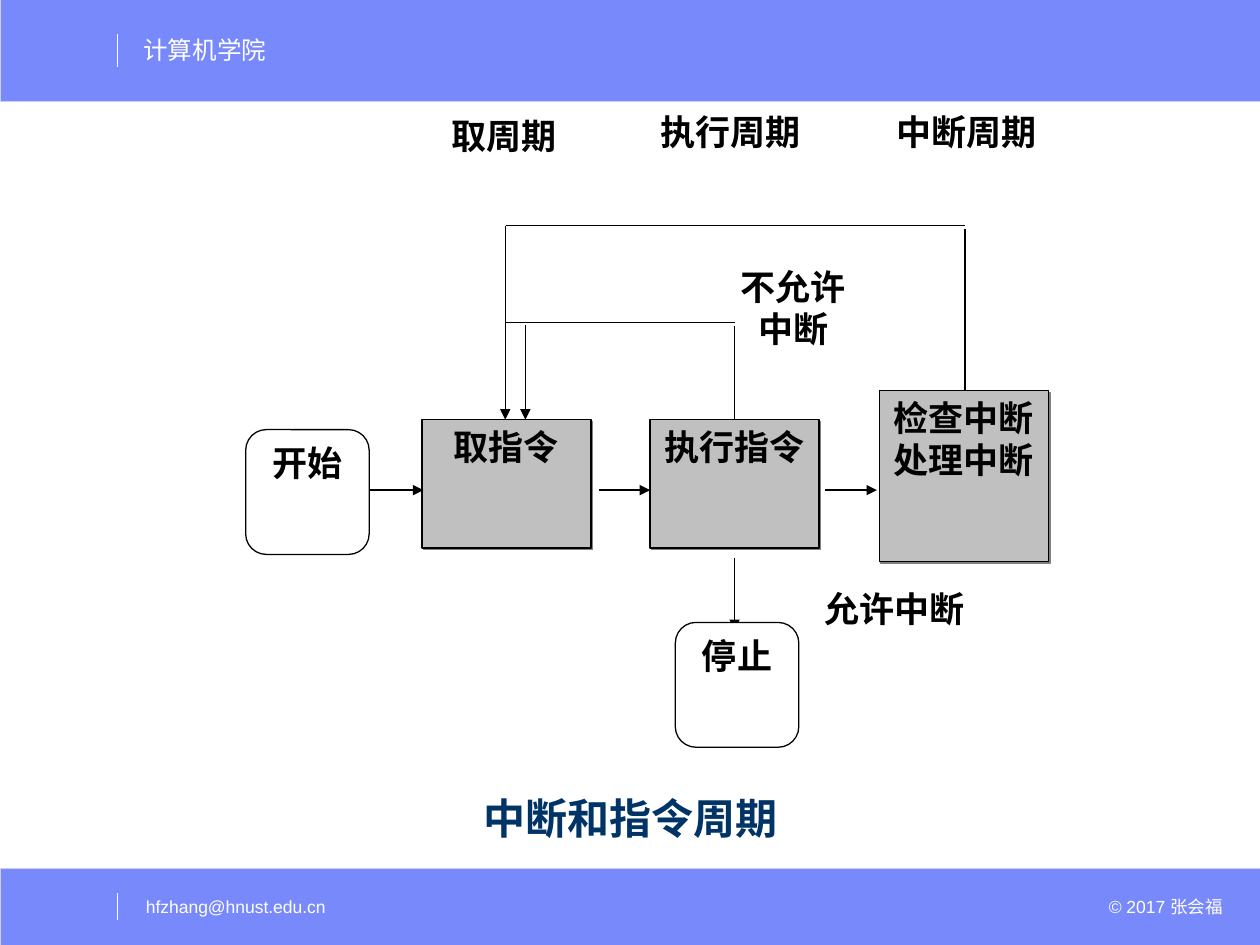
import pptx
import pptx.util
import pptx.dml.color
import pptx.enum.shapes
import pptx.enum.text
import pptx.oxml
import pptx.oxml.ns

Inches = pptx.util.Inches
Pt = pptx.util.Pt
RGB = pptx.dml.color.RGBColor.from_string
Shape = pptx.enum.shapes.MSO_SHAPE
Align = pptx.enum.text.PP_ALIGN
Anchor = pptx.enum.text.MSO_ANCHOR
NS = pptx.oxml.ns.nsdecls("a")

THEME = {
    "band": "7889FB", "band_edge": "CCCCFF", "white": "FFFFFF",
    "black": "000000", "step": "C0C0C0", "shadow": "808080", "navy": "003366",
    "label": {"name": "Times New Roman", "size": Pt(20), "bold": True},
    "title": {"name": "Arial", "size": Pt(24), "bold": True},
    "header": {"name": "Arial", "size": Pt(14)},
    "footer": {"name": "Arial", "size": Pt(10)},
}

deck = pptx.Presentation()
deck.slide_width, deck.slide_height = Inches(10), Inches(7.5)
slide = deck.slides.add_slide(deck.slide_layouts[6])


def add_box(place, words="", kind=Shape.RECTANGLE, fill=None, edge=None, weight=0.75,
            style="label", color="black", align=Align.CENTER, anchor=Anchor.TOP,
            inset=(0.1, 0.05), wrap=True):
    place = [Inches(length) for length in place]
    if fill:
        box = slide.shapes.add_shape(kind, *place)
        box.shadow.inherit = False
        box.fill.solid()
        box.fill.fore_color.rgb = RGB(THEME[fill])
        if edge:
            box.line.color.rgb = RGB(THEME[edge])
            box.line.width = Pt(weight)
        else:
            box.line.fill.background()
    else:
        box = slide.shapes.add_textbox(*place)
    if not words:
        return box
    side, end = map(Inches, inset)
    frame_format = {"margin_left": side, "margin_right": side, "margin_top": end,
                    "margin_bottom": end, "word_wrap": wrap, "vertical_anchor": anchor}
    for key, value in frame_format.items():
        setattr(box.text_frame, key, value)
    box.text_frame.text = words
    for paragraph in box.text_frame.paragraphs:
        paragraph.alignment = align
        for key, value in THEME[style].items():
            setattr(paragraph.font, key, value)
        paragraph.font.color.rgb = RGB(THEME[color])
    return box


def add_line(ends, arrow=False, color="black"):
    line = slide.shapes.add_connector(
        pptx.enum.shapes.MSO_CONNECTOR.STRAIGHT, *[Inches(length) for length in ends])
    line.line.color.rgb = RGB(THEME[color])
    line.line.width = Pt(0.75)
    properties = line._element.spPr
    if arrow:
        properties.find(pptx.oxml.ns.qn("a:ln")).append(
            pptx.oxml.parse_xml(f'<a:tailEnd {NS} type="triangle"/>'))
    properties.append(pptx.oxml.parse_xml(f"<a:effectLst {NS}/>"))


for top, height in [(6.89, 0.61), (-0.01, 0.81)]:
    add_box((0, top, 10, height), fill="band", edge="band_edge", weight=0.25)
for top, bottom in [(0.27, 0.53), (7.09, 7.3)]:
    add_line((0.93, top, 0.93, bottom), color="white")
add_box((1.04, 0.23, 1.3, 0.34), "计算机学院", style="header", color="white",
        align=Align.LEFT)
for left, width, words, align in [
    (7.95, 1.85, "© 2017 张会福", Align.RIGHT),
    (1.06, 1.78, "hfzhang@hnust.edu.cn", Align.LEFT),
]:
    add_box((left, 7.06, width, 0.27), words, style="footer", color="white",
            align=align, anchor=Anchor.MIDDLE)

for left, top, height, words in [
    (3.35, 3.33, 1.02, "取指令"),
    (5.16, 3.33, 1.02, "执行指令"),
    (6.98, 3.1, 1.36, "检查中断\n处理中断"),
]:
    step = add_box((left, top, 1.34, height), words, fill="step", edge="black")
    step._element.spPr.find(pptx.oxml.ns.qn("a:effectLst")).append(pptx.oxml.parse_xml(
        f'<a:outerShdw {NS} dist="{Pt(1.4)}" dir="2700000" algn="ctr" rotWithShape="0">'
        f'<a:srgbClr val="{THEME["shadow"]}"/></a:outerShdw>'))

for ends in [
    (4.75, 3.89, 5.16, 3.89),
    (2.94, 3.89, 3.36, 3.89),
    (6.55, 3.89, 6.96, 3.89),
    (5.83, 4.43, 5.83, 5),
    (4.01, 1.79, 4.01, 3.33),
]:
    add_line(ends, arrow=True)

for left, top, words in [(1.95, 3.41, "开始"), (5.36, 4.94, "停止")]:
    add_box((left, top, 0.98, 0.99), words, Shape.ROUNDED_RECTANGLE, "white", "black")

for left, top, words in [
    (3.34, 0.86, "取周期"),
    (5.14, 0.83, "执行周期"),
    (7.01, 0.83, "中断周期"),
    (6.44, 4.61, "允许中断"),
]:
    add_box((left, top, 1.32, 0.71), words, fill="white", wrap=False)

add_box((1.08, 6.03, 7.92, 0.92), "中断和指令周期 ", style="title", color="navy",
        anchor=Anchor.MIDDLE)

for ends in [
    (7.66, 3.1, 7.66, 1.82),
    (4.02, 1.79, 7.66, 1.79),
    (5.83, 3.33, 5.83, 2.59),
    (4.01, 2.56, 5.83, 2.56),
]:
    add_line(ends)
add_box((5.84, 2.11, 0.91, 1.11), "不允许\n中断", fill="white", inset=(0, 0))
add_line((4.17, 2.58, 4.17, 3.33), arrow=True)

deck.save("out.pptx")
